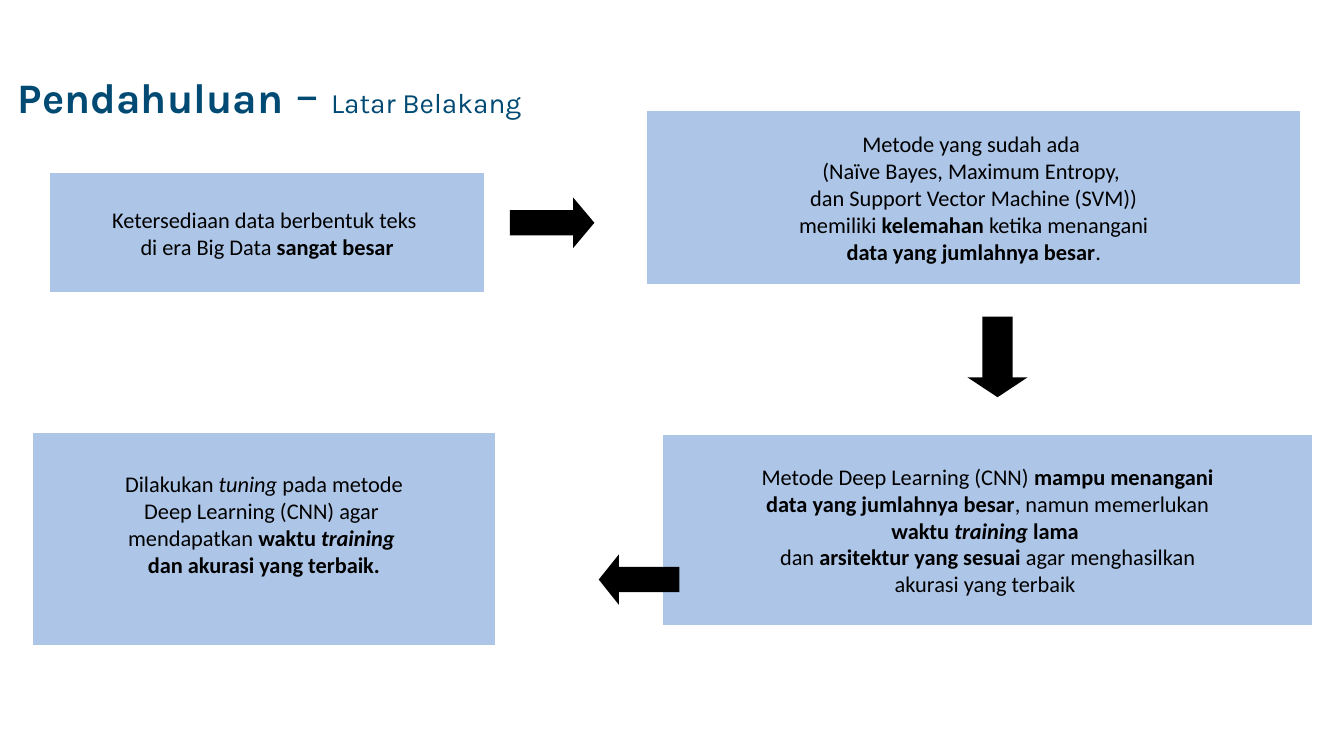
import pptx
import pptx.util
import pptx.dml.color
import pptx.enum.shapes
import pptx.enum.text

Cm, Pt = pptx.util.Cm, pptx.util.Pt
SHAPES = pptx.enum.shapes.MSO_SHAPE
ALIGN = pptx.enum.text.PP_ALIGN


def colour(value):
    return pptx.dml.color.RGBColor.from_string(value)


class FlowPage:
    """Holds the style and the current slide."""
    navy, pale_blue, black = "014A73", "ADC5E7", "000000"
    title_font, body_font = "Karla", "Calibri"
    body_size = 16

    def __init__(self, deck):
        self.page = deck.slides.add_slide(deck.slide_layouts[5])

    def set_insets(self, frame, bottom=0.13):
        frame.margin_left = frame.margin_right = Cm(0.25)
        frame.margin_top, frame.margin_bottom = Cm(0.13), Cm(bottom)
        frame.vertical_anchor = pptx.enum.text.MSO_ANCHOR.MIDDLE

    def add_span(self, para, text, font, size, ink, style=""):
        span = para.add_run()
        span.text = text
        span.font.name, span.font.size = font, Pt(size)
        span.font.color.rgb = colour(ink)
        span.font.bold, span.font.italic = "b" in style, "i" in style

    def title(self, position, parts):
        title = self.page.shapes.title
        title.left, title.top, title.width, title.height = map(Cm, position)
        frame = title.text_frame
        self.set_insets(frame)
        frame.word_wrap = True
        frame.auto_size = pptx.enum.text.MSO_AUTO_SIZE.NONE
        para = frame.paragraphs[0]
        para.alignment, para.line_spacing = ALIGN.LEFT, 0.9
        for text, size, style in parts:
            self.add_span(para, text, self.title_font, size, self.navy, style)

    def shape(self, kind, position, fill):
        shape = self.page.shapes.add_shape(kind, *map(Cm, position))
        shape.shadow.inherit = False
        shape.fill.solid()
        shape.fill.fore_color.rgb = colour(fill)
        shape.line.fill.background()
        return shape

    def box(self, position, lines, bottom=0.13):
        box = self.shape(SHAPES.FLOWCHART_PROCESS, position, self.pale_blue)
        frame = box.text_frame
        self.set_insets(frame, bottom)
        frame.word_wrap = False
        for number, line in enumerate(lines):
            para = frame.add_paragraph() if number else frame.paragraphs[0]
            para.alignment = ALIGN.CENTER
            for text, style in line:
                self.add_span(para, text, self.body_font, self.body_size, self.black, style)

    def arrow(self, kind, position, head):
        arrow = self.shape(kind, position, self.black)
        arrow.adjustments[0], arrow.adjustments[1] = 0.5, head


def main():
    deck = pptx.Presentation()
    deck.slide_width, deck.slide_height = Cm(33.87), Cm(19.05)
    flow = FlowPage(deck)

    # Title
    flow.title((0.2, 0.61, 15.16, 3.68),
               [("Pendahuluan", 30, "b"), (" – ", 36, ""), ("Latar Belakang", 20, "")])

    # Data availability
    flow.box((1.27, 4.37, 10.92, 3), [
        [("Ketersediaan data berbentuk teks ", "")],
        [("di era Big Data ", ""), ("sangat besar", "b")],
    ])
    flow.arrow(SHAPES.RIGHT_ARROW, (12.85, 4.98, 2.13, 1.27), 0.42)

    # Existing methods
    flow.box((16.31, 2.79, 16.46, 4.37), [
        [("Metode yang sudah ada ", "")],
        [("(Naïve Bayes, Maximum Entropy, ", "")],
        [("dan Support Vector Machine (SVM))", "")],
        [("memiliki ", ""), ("kelemahan", "b"), (" ketika menangani", "")],
        [("data yang jumlahnya besar", "b"), (".", "")],
    ])
    flow.arrow(SHAPES.DOWN_ARROW, (24.38, 7.98, 1.52, 2.03), 0.33)

    # Deep learning
    flow.box((16.71, 10.97, 16.36, 4.78), [
        [("Metode Deep Learning (CNN) ", ""), ("mampu menangani", "b")],
        [("data yang jumlahnya besar", "b"), (", namun memerlukan", "")],
        [("waktu ", "b"), ("training", "bi"), (" lama ", "b")],
        [("dan ", ""), ("arsitektur yang sesuai", "b"), (" agar menghasilkan", "")],
        [("akurasi yang terbaik ", "")],
    ])
    flow.arrow(SHAPES.LEFT_ARROW, (15.09, 13.97, 2.03, 1.27), 0.4)

    # Tuning, with its text set above the middle
    flow.box((0.84, 10.92, 11.63, 5.33), [
        [("Dilakukan ", ""), ("tuning", "i"), (" pada metode", "")],
        [("Deep Learning (CNN) agar ", "")],
        [("mendapatkan ", ""), ("waktu ", "b"), ("training ", "bi")],
        [("dan akurasi yang terbaik.", "b")],
    ], bottom=0.9)

    deck.save("out.pptx")


if __name__ == "__main__":
    main()
